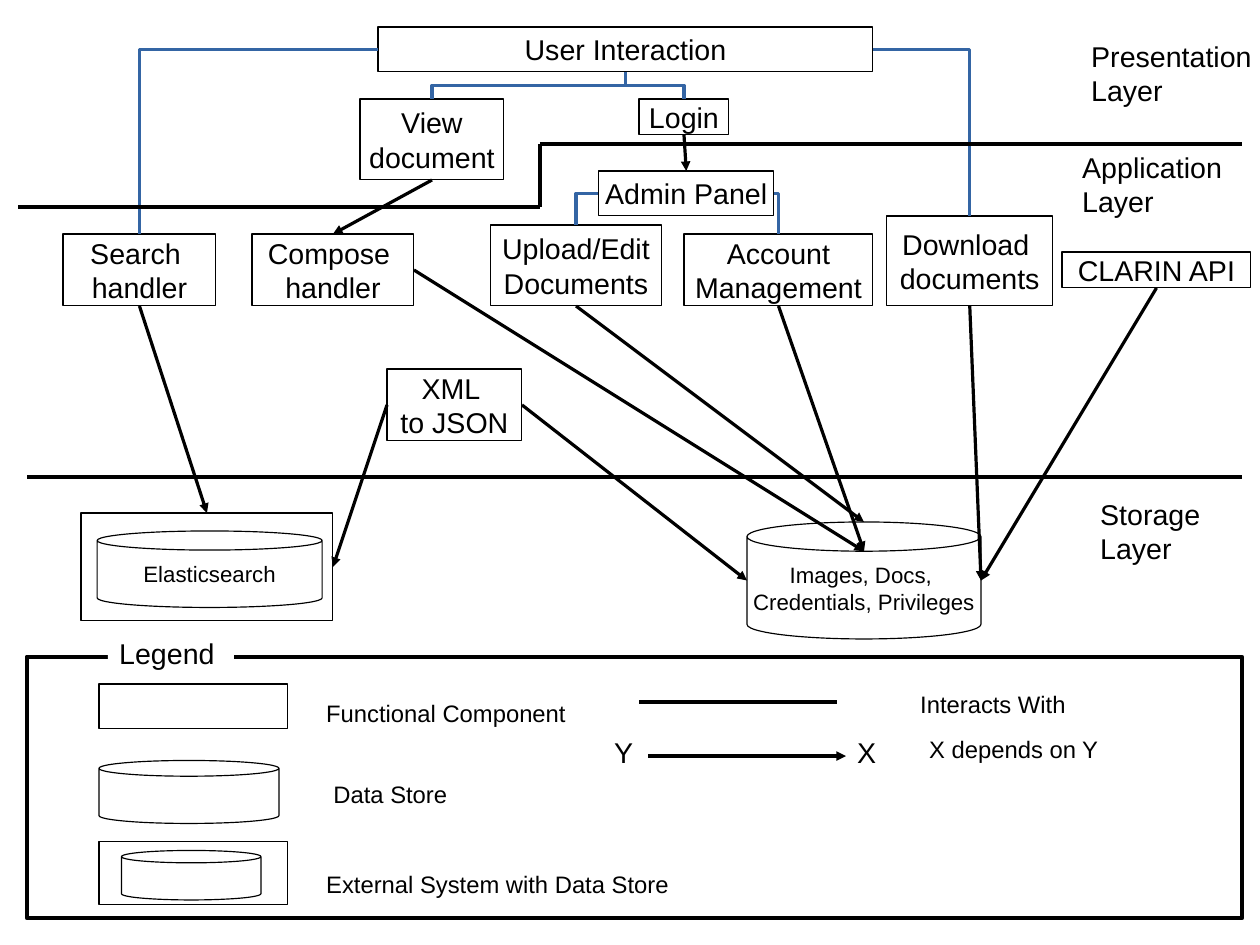
from lxml import etree
from pptx import Presentation
from pptx.dml.color import RGBColor
from pptx.enum.shapes import MSO_CONNECTOR as CONN, MSO_SHAPE as SHAPE
from pptx.enum.text import MSO_ANCHOR as ANCHOR, PP_ALIGN as ALIGN
from pptx.oxml.ns import qn
from pptx.util import Cm, Pt

COLORS = {"ink": "000000", "paper": "FFFFFF", "link": "3465A4"}
TOP, LEFT, BOTTOM, RIGHT = range(4)


def rgb(name):
    return RGBColor.from_string(COLORS[name])


def side(sp, site):
    x = {LEFT: 0, RIGHT: sp.width}.get(site, sp.width // 2)
    y = {TOP: 0, BOTTOM: sp.height}.get(site, sp.height // 2)
    return sp.left + x, sp.top + y


class Diagram:
    font = "Arial"

    def __init__(self, slide):
        self.shapes = slide.shapes

    def set_text(self, sp, text, size, align, anchor, wrap):
        tf = sp.text_frame
        tf.text = text
        tf.word_wrap = wrap
        tf.vertical_anchor = anchor
        for p in tf.paragraphs:
            p.alignment = align
            for r in p.runs:
                r.font.name = self.font
                r.font.size = Pt(size)
                r.font.color.rgb = rgb("ink")

    def shape(self, kind, box, text="", size=18, fill=None, width=0):
        sp = self.shapes.add_shape(kind, *map(Cm, box))
        sp.shadow.inherit = False
        if fill:
            sp.fill.solid()
            sp.fill.fore_color.rgb = rgb(fill)
        else:
            sp.fill.background()
        sp.line.color.rgb = rgb("ink")
        sp.line.width = Pt(width)
        if text:
            self.set_text(sp, text, size, ALIGN.CENTER, ANCHOR.MIDDLE, False)
        return sp

    def box(self, box, text="", width=0):
        return self.shape(SHAPE.RECTANGLE, box, text, width=width)

    def store(self, box, text=""):
        return self.shape(SHAPE.CAN, box, text, 14, "paper")

    def label(self, box, text, size=18, fill=None):
        sp = self.shapes.add_textbox(*map(Cm, box))
        if fill:
            sp.fill.solid()
            sp.fill.fore_color.rgb = rgb(fill)
        self.set_text(sp, text, size, ALIGN.LEFT, ANCHOR.TOP, True)

    def connector(self, kind, start, end, color="ink", arrow=False):
        c = self.shapes.add_connector(kind, *start, *end)
        c.line.color.rgb = rgb(color)
        c.line.width = Pt(0)
        if arrow:
            ln = c.line._get_or_add_ln()
            etree.SubElement(ln, qn("a:tailEnd"), type="triangle")
        etree.SubElement(c._element.spPr, qn("a:effectLst"))
        return c

    def line(self, x1, y1, x2, y2, arrow=False):
        self.connector(CONN.STRAIGHT, (Cm(x1), Cm(y1)), (Cm(x2), Cm(y2)), arrow=arrow)

    def depends(self, source, site, target, target_site):
        c = self.connector(CONN.STRAIGHT, side(source, site),
                           side(target, target_site), arrow=True)
        c.begin_connect(source, site)
        c.end_connect(target, target_site)

    def depends_at(self, source, site, point):
        c = self.connector(CONN.STRAIGHT, side(source, site), point, arrow=True)
        c.begin_connect(source, site)

    def elbow(self, source, site, target):
        c = self.connector(CONN.ELBOW, side(source, site), side(target, TOP), "link")
        c.begin_connect(source, site)
        c.end_connect(target, TOP)
        if site != BOTTOM:
            c._element.spPr.find(qn("a:prstGeom")).set("prst", "bentConnector2")
            return
        xfrm = c._element.spPr.find(qn("a:xfrm"))
        leftward = c.begin_x > c.end_x
        left, top, w, h = c.left, c.top, c.width, c.height
        xfrm.attrib.pop("flipH", None)
        xfrm.set("rot", "5400000" if leftward else "16200000")
        if not leftward:
            xfrm.set("flipH", "1")
        c.left, c.top = left + (w - h) // 2, top + (h - w) // 2
        c.width, c.height = h, w


def main():
    prs = Presentation()
    prs.slide_width, prs.slide_height = Cm(28), Cm(21)
    d = Diagram(prs.slides.add_slide(prs.slide_layouts[6]))

    user = d.box((8.4, 0.6, 11, 1), "User Interaction")
    view = d.box((8, 2.2, 3.2, 1.8), "View\ndocument")
    login = d.box((14.2, 2.2, 2, 0.8), "Login")
    admin = d.box((13.3, 3.8, 3.9, 1), "Admin Panel")
    search = d.box((1.4, 5.2, 3.4, 1.6), "Search \nhandler")
    compose = d.box((5.6, 5.2, 3.6, 1.6), "Compose \nhandler")
    upload = d.box((10.9, 5, 3.8, 1.8), "Upload/Edit\nDocuments")
    account = d.box((15.2, 5.2, 4.2, 1.6), "Account\nManagement")
    download = d.box((19.7, 4.8, 3.7, 2), "Download \ndocuments")
    clarin = d.box((23.6, 5.6, 4.2, 0.8), "CLARIN API")
    converter = d.box((8.6, 8.2, 3, 1.6), "XML \nto JSON")
    files = d.store((16.6, 11.6, 5.2, 2.6), "Images, Docs, \nCredentials, Privileges")
    d.store((2.16, 11.8, 5, 1.7), "Elasticsearch")
    index = d.box((1.8, 11.4, 5.6, 2.4))

    for source, site, target in (
        (user, LEFT, search), (user, RIGHT, download), (user, BOTTOM, view),
        (user, BOTTOM, login), (admin, LEFT, upload), (admin, RIGHT, account),
    ):
        d.elbow(source, site, target)

    for source, site, target, target_site in (
        (view, BOTTOM, compose, TOP), (login, BOTTOM, admin, TOP),
        (search, BOTTOM, index, TOP), (converter, LEFT, index, RIGHT),
    ):
        d.depends(source, site, target, target_site)

    lid_x, lid_y = side(files, TOP)
    lid_front = lid_x, lid_y + files.height // 4
    for source, site, point in (
        (converter, RIGHT, side(files, LEFT)), (clarin, BOTTOM, side(files, RIGHT)),
        (download, BOTTOM, side(files, RIGHT)), (upload, BOTTOM, (lid_x, lid_y)),
        (compose, RIGHT, lid_front), (account, BOTTOM, lid_front),
    ):
        d.depends_at(source, site, point)

    for x, y, name in ((24, 0.74, "Presentation"), (23.8, 3.2, "Application"),
                       (24.2, 10.92, "Storage")):
        d.label((x, y, 4.4, 1.68), f"{name}\nLayer")
    for border in ((0.6, 10.6, 27.6, 10.6), (12, 3.2, 27.6, 3.2),
                   (12, 4.6, 0.4, 4.6), (12, 3.2, 12, 4.6)):
        d.line(*border)

    d.box((0.6, 14.6, 27, 5.8), width=3)
    d.label((2.4, 14, 2.8, 0.97), "Legend", fill="paper")
    d.box((2.2, 15.2, 4.2, 1))
    d.store((2.2, 16.9, 4, 1.4))
    d.box((2.2, 18.7, 4.2, 1.4))
    d.store((2.7, 18.9, 3.1, 1.1))
    d.line(14.2, 15.6, 18.6, 15.6)
    d.line(14.4, 16.8, 18.8, 16.8, arrow=True)
    for x, y, w, text, size in (
        (7, 15.4, 6.6, "Functional Component", 15),
        (7.16, 17.2, 3.4, "Data Store", 15),
        (7, 19.2, 8.4, "External System with Data Store", 15),
        (20.2, 15.2, 6.6, "Interacts With", 15),
        (20.4, 16.2, 4.4, "X depends on Y", 15),
        (13.4, 16.2, 0.92, "Y", 18),
        (18.8, 16.2, 0.92, "X", 18),
    ):
        d.label((x, y, w, 1), text, size)

    prs.save("out.pptx")


if __name__ == "__main__":
    main()
